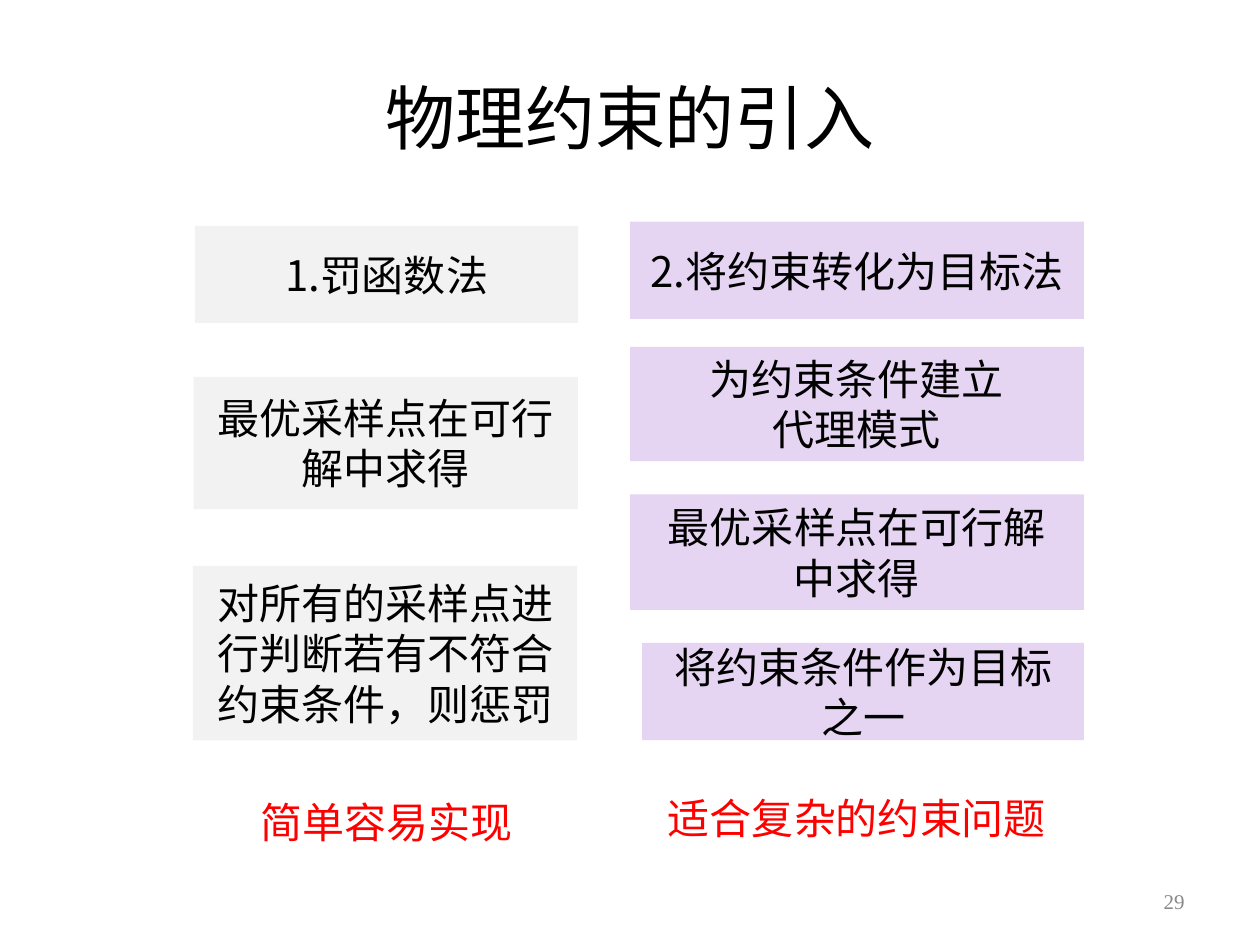
from dataclasses import dataclass
from typing import Optional

from lxml import etree
from pptx import Presentation
from pptx.dml.color import RGBColor
from pptx.enum.shapes import MSO_SHAPE
from pptx.enum.text import MSO_ANCHOR, PP_ALIGN
from pptx.oxml.ns import qn
from pptx.util import Pt


@dataclass(frozen=True)
class Theme:
    ink: str = "000000"
    accent: str = "FF0000"
    muted: str = "898989"
    penalty_fill: str = "F2F2F2"
    objective_fill: str = "E6D5F2"
    latin: str = "Times New Roman"
    chinese: str = "Noto Sans CJK SC"
    title_size: int = 40
    body_size: int = 24
    number_size: int = 12


THEME = Theme()


@dataclass(frozen=True)
class Style:
    size: int
    color: str
    font: str = THEME.chinese
    align: PP_ALIGN = PP_ALIGN.CENTER
    anchor: MSO_ANCHOR = MSO_ANCHOR.MIDDLE


@dataclass(frozen=True)
class Block:
    text: str
    left: float
    top: float
    width: float
    height: float
    fill: Optional[str] = None


TITLE = Style(THEME.title_size, THEME.ink, THEME.latin)
STEP = Style(THEME.body_size, THEME.ink)
VERDICT = Style(THEME.body_size, THEME.accent, anchor=MSO_ANCHOR.TOP)
NUMBER = Style(THEME.number_size, THEME.muted, THEME.latin, PP_ALIGN.RIGHT)

PENALTY, OBJECTIVE = THEME.penalty_fill, THEME.objective_fill
RIGHT_LEFT, RIGHT_WIDTH = 360, 259.4
STEPS = [
    Block("1.罚函数法", 111.4, 129, 219, 55.6, PENALTY),
    Block("最优采样点在可行解中求得", 110.6, 215.3, 219.6, 75.6, PENALTY),
    Block("对所有的采样点进行判断若有不符合约束条件，则惩罚",
          110.2, 323.3, 219.6, 99.8, PENALTY),
    Block("2.将约束转化为目标法", RIGHT_LEFT, 126.6, RIGHT_WIDTH, 55.6, OBJECTIVE),
    Block("为约束条件建立\n代理模式", RIGHT_LEFT, 198.2, RIGHT_WIDTH, 65.3, OBJECTIVE),
    Block("最优采样点在可行解\n中求得", RIGHT_LEFT, 282.5, RIGHT_WIDTH, 66, OBJECTIVE),
    Block("将约束条件作为目标之一", 367, 367.3, 252.4, 55.6, OBJECTIVE),
]
VERDICTS = [
    Block("简单容易实现", 139.7, 451.4, 162.7, 60.5),
    Block("适合复杂的约束问题", RIGHT_LEFT, 449.3, RIGHT_WIDTH, 36),
]


def bounds(block: Block) -> tuple:
    return Pt(block.left), Pt(block.top), Pt(block.width), Pt(block.height)


def write(shape, text: str, style: Style) -> None:
    frame = shape.text_frame
    frame.word_wrap = True
    frame.vertical_anchor = style.anchor
    paragraph = frame.paragraphs[0]
    paragraph.text = text
    paragraph.alignment = style.align
    for run in paragraph.runs:
        format_values = {"size": Pt(style.size), "name": style.font}
        for attribute, value in format_values.items():
            setattr(run.font, attribute, value)
        run.font.color.rgb = RGBColor.from_string(style.color)
        east_asian = etree.SubElement(run.font._element, qn("a:ea"))
        east_asian.set("typeface", THEME.chinese)


def add_step(slide, block: Block) -> None:
    box = slide.shapes.add_shape(MSO_SHAPE.RECTANGLE, *bounds(block))
    box.shadow.inherit = False
    box.fill.solid()
    box.fill.fore_color.rgb = RGBColor.from_string(block.fill)
    box.line.fill.background()
    write(box, block.text, STEP)


def add_label(slide, block: Block, style: Style) -> None:
    write(slide.shapes.add_textbox(*bounds(block)), block.text, style)


def main() -> None:
    deck = Presentation()
    deck.slide_width, deck.slide_height = Pt(720), Pt(540)
    slide = deck.slides.add_slide(deck.slide_layouts[5])

    title = slide.shapes.title
    title.left, title.top, title.width, title.height = Pt(36), Pt(21.6), Pt(648), Pt(90)
    write(title, "物理约束的引入", TITLE)

    for step in STEPS:
        add_step(slide, step)
    for verdict in VERDICTS:
        add_label(slide, verdict, VERDICT)
    add_label(slide, Block("29", 516, 500.5, 168, 28.8), NUMBER)

    deck.save("out.pptx")


if __name__ == "__main__":
    main()
